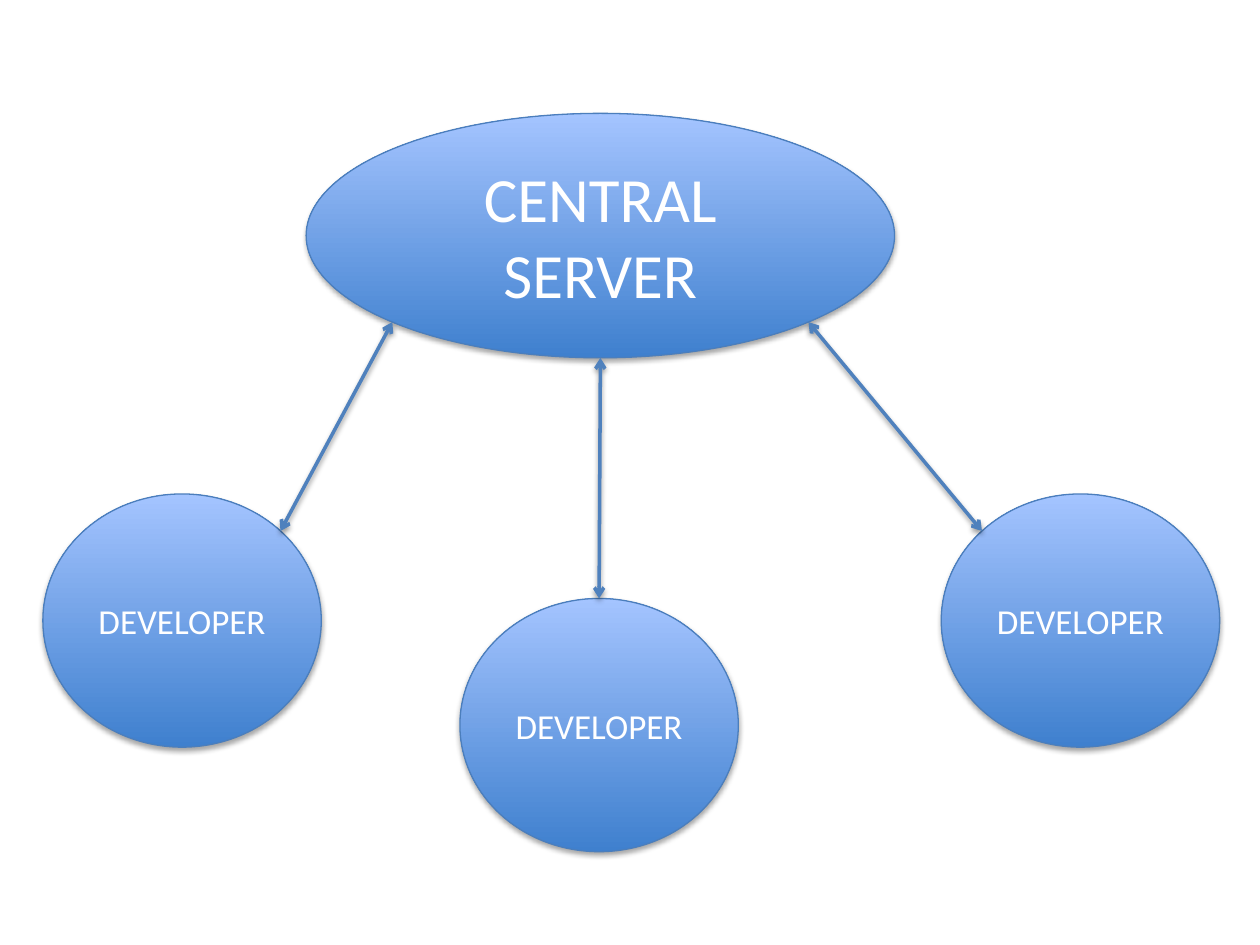
from collections import namedtuple
from math import cos, radians, sin

from lxml.etree import SubElement
from pptx import Presentation
from pptx.dml.color import RGBColor
from pptx.enum.shapes import MSO_CONNECTOR, MSO_SHAPE
from pptx.enum.text import MSO_ANCHOR, PP_ALIGN
from pptx.oxml.ns import qn
from pptx.util import Inches, Pt

Box = namedtuple("Box", "left top width height")

PAGE_WIDTH, PAGE_HEIGHT = Inches(10), Inches(7.5)
DARK_BLUE, LIGHT_BLUE = "3F80CE", "A4C4FF"
OUTLINE, ARROW, WHITE = "4B7EBC", "4F81BD", "FFFFFF"
DEVELOPER_WIDTH, DEVELOPER_HEIGHT = 22.1, 26.8


def color(value):
    return RGBColor.from_string(value)


def across(percent):
    return round(PAGE_WIDTH * percent / 100)


def down(percent):
    return round(PAGE_HEIGHT * percent / 100)


def rim_point(box, angle):
    x = box.left + box.width / 2 * (1 + cos(radians(angle)))
    y = box.top + box.height / 2 * (1 + sin(radians(angle)))
    return across(x), down(y)


def add_shadow(item, distance, opacity):
    effects = SubElement(item._element.spPr, qn("a:effectLst"))
    shadow = SubElement(
        effects, qn("a:outerShdw"), blurRad=str(Pt(3.1)), dist=str(Pt(distance)),
        dir="5400000", rotWithShape="0")
    black = SubElement(shadow, qn("a:srgbClr"), val="000000")
    SubElement(black, qn("a:alpha"), val=str(opacity * 1000))


def write_text(frame, text, size, font="Calibri", fill=WHITE):
    frame.word_wrap = True
    frame.vertical_anchor = MSO_ANCHOR.MIDDLE
    para = frame.paragraphs[0]
    para.alignment = PP_ALIGN.CENTER
    span = para.add_run()
    span.text = text
    span.font.size = Pt(size)
    span.font.name = font
    span.font.color.rgb = color(fill)


def add_node(page, box, text, size):
    node = page.shapes.add_shape(
        MSO_SHAPE.OVAL, across(box.left), down(box.top),
        across(box.width), down(box.height))
    node.fill.gradient()
    node.fill.gradient_angle = 90
    for stop, shade in zip(node.fill.gradient_stops, (DARK_BLUE, LIGHT_BLUE)):
        stop.color.rgb = color(shade)
    node.line.color.rgb = color(OUTLINE)
    node.line.width = Pt(0.75)
    add_shadow(node, distance=1.8, opacity=35)
    write_text(node.text_frame, text, size=size)


def add_link(page, start, end):
    link = page.shapes.add_connector(MSO_CONNECTOR.STRAIGHT, *start, *end)
    link.line.color.rgb = color(ARROW)
    link.line.width = Pt(2)
    outline = link._element.spPr.find(qn("a:ln"))
    for tip in ("a:headEnd", "a:tailEnd"):
        SubElement(outline, qn(tip), type="arrow")
    add_shadow(link, distance=1.6, opacity=38)


def add_network(page, server, developers):
    add_node(page, server, "CENTRAL SERVER", size=36)
    for box, _ in developers:
        add_node(page, box, "DEVELOPER", size=20)
    for box, angle in developers:
        add_link(page, rim_point(server, angle), rim_point(box, angle + 180))


def main():
    deck = Presentation()
    deck.slide_width, deck.slide_height = PAGE_WIDTH, PAGE_HEIGHT
    page = deck.slides.add_slide(deck.slide_layouts[6])
    server = Box(24.3, 12, 46.7, 25.87)
    places = ((3.4, 52.27, 135), (36.5, 63.33, 90), (74.7, 52.27, 45))
    developers = [
        (Box(left, top, DEVELOPER_WIDTH, DEVELOPER_HEIGHT), angle)
        for left, top, angle in places]
    add_network(page, server, developers)
    deck.save("out.pptx")


if __name__ == "__main__":
    main()
